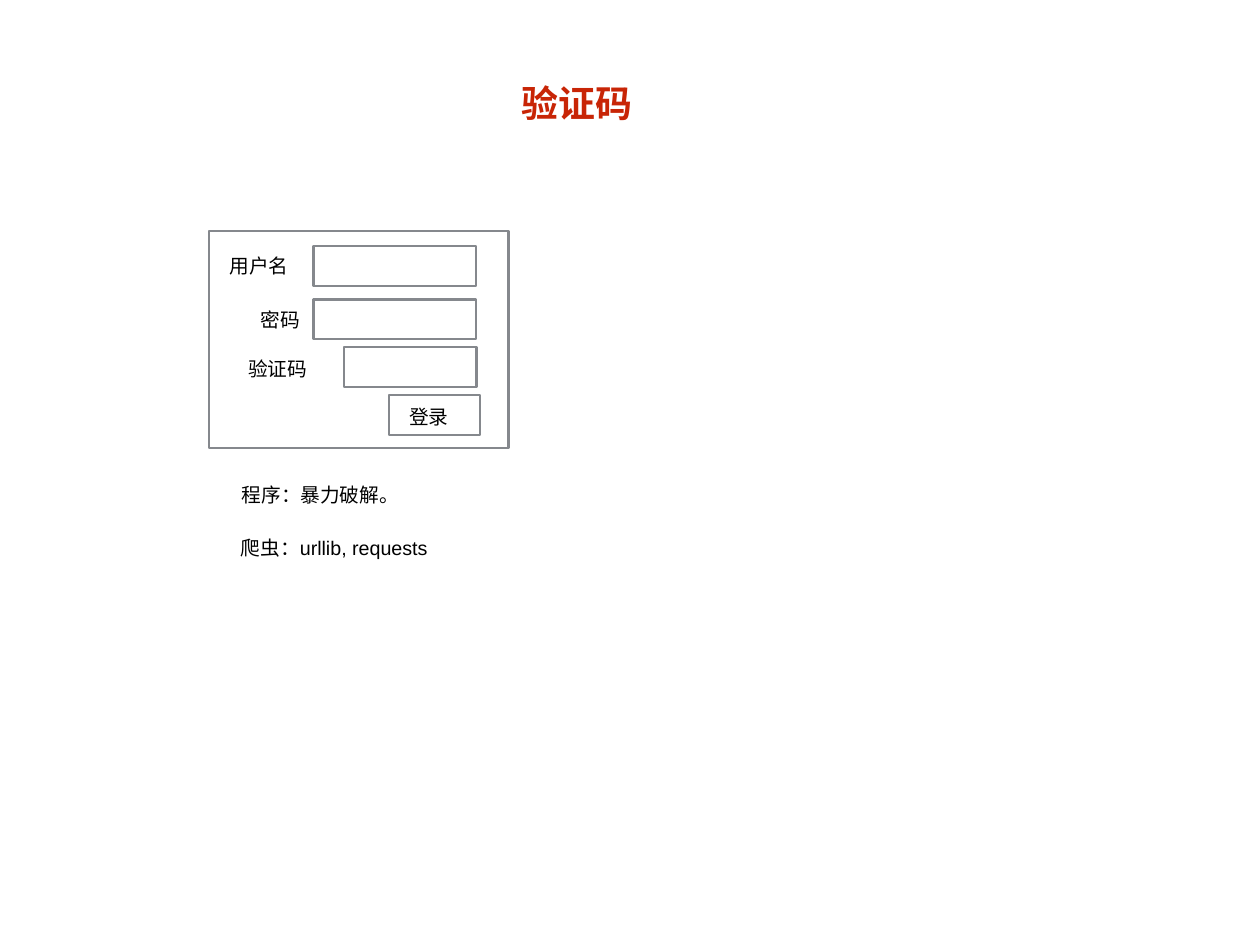
from dataclasses import dataclass

import pptx
import pptx.dml.color
import pptx.enum.shapes
import pptx.enum.text
import pptx.util

PX = 9144  # 100 px to the inch
INSET = 6
LABEL_HEIGHT = 42
FIELD_HEIGHT = 45
COLOURS = {"title": "C82506", "text": "000000", "border": "85888D"}


@dataclass
class Frame:
    left: int
    top: int
    width: int
    height: int = FIELD_HEIGHT


@dataclass
class Label:
    text: str
    left: int
    top: int
    width: int
    height: int = LABEL_HEIGHT
    size: int = 16
    colour: str = "text"
    bold: bool = False
    wrap: bool = False


FRAMES = [
    Frame(236, 261, 338, 245),  # login form
    Frame(354, 278, 183),  # user name
    Frame(354, 338, 183),  # password
    Frame(388, 392, 150),  # verification code
    Frame(439, 446, 103),  # login button
]

LABELS = [
    Label("验证码", 583, 82, 138, 69, size=30, colour="title", bold=True),
    Label("用户名", 253, 279, 79),
    Label("密码", 288, 340, 57),
    Label("验证码", 274, 395, 79),
    Label("登录", 456, 449, 57),
    Label("程序：暴力破解。", 267, 537, 190),
    Label("爬虫：urllib, requests", 266, 597, 224, wrap=True),
]


def rgb(name: str) -> pptx.dml.color.RGBColor:
    return pptx.dml.color.RGBColor.from_string(COLOURS[name])


def place(item: Frame | Label) -> list[int]:
    """Return left, top, width and height in EMU."""
    return [length * PX for length in (item.left, item.top, item.width, item.height)]


def draw_frame(page: pptx.slide.Slide, frame: Frame) -> None:
    box = page.shapes.add_shape(
        pptx.enum.shapes.MSO_SHAPE.RECTANGLE, *place(frame)
    )
    box.shadow.inherit = False
    box.fill.background()
    box.line.color.rgb = rgb("border")
    box.line.width = pptx.util.Pt(2)


def draw_label(page: pptx.slide.Slide, label: Label) -> None:
    box = page.shapes.add_textbox(*place(label))
    text_frame = box.text_frame
    text_frame.text = label.text
    text_frame.word_wrap = label.wrap
    # A wrapping label keeps its height so that its lines stay centred on it.
    text_frame.auto_size = (
        pptx.enum.text.MSO_AUTO_SIZE.NONE
        if label.wrap
        else pptx.enum.text.MSO_AUTO_SIZE.SHAPE_TO_FIT_TEXT
    )
    text_frame.vertical_anchor = pptx.enum.text.MSO_ANCHOR.MIDDLE
    text_frame.margin_left = text_frame.margin_right = INSET * PX
    text_frame.margin_top = text_frame.margin_bottom = INSET * PX
    font = text_frame.paragraphs[0].runs[0].font
    font.name = "Arial"
    font.size = pptx.util.Pt(label.size)
    font.bold = label.bold
    font.color.rgb = rgb(label.colour)


def main() -> None:
    deck = pptx.Presentation()
    deck.slide_width = 1422 * PX
    deck.slide_height = 1067 * PX
    page = deck.slides.add_slide(deck.slide_layouts[6])
    for frame in FRAMES:
        draw_frame(page, frame)
    for label in LABELS:
        draw_label(page, label)
    deck.save("out.pptx")


if __name__ == "__main__":
    main()
